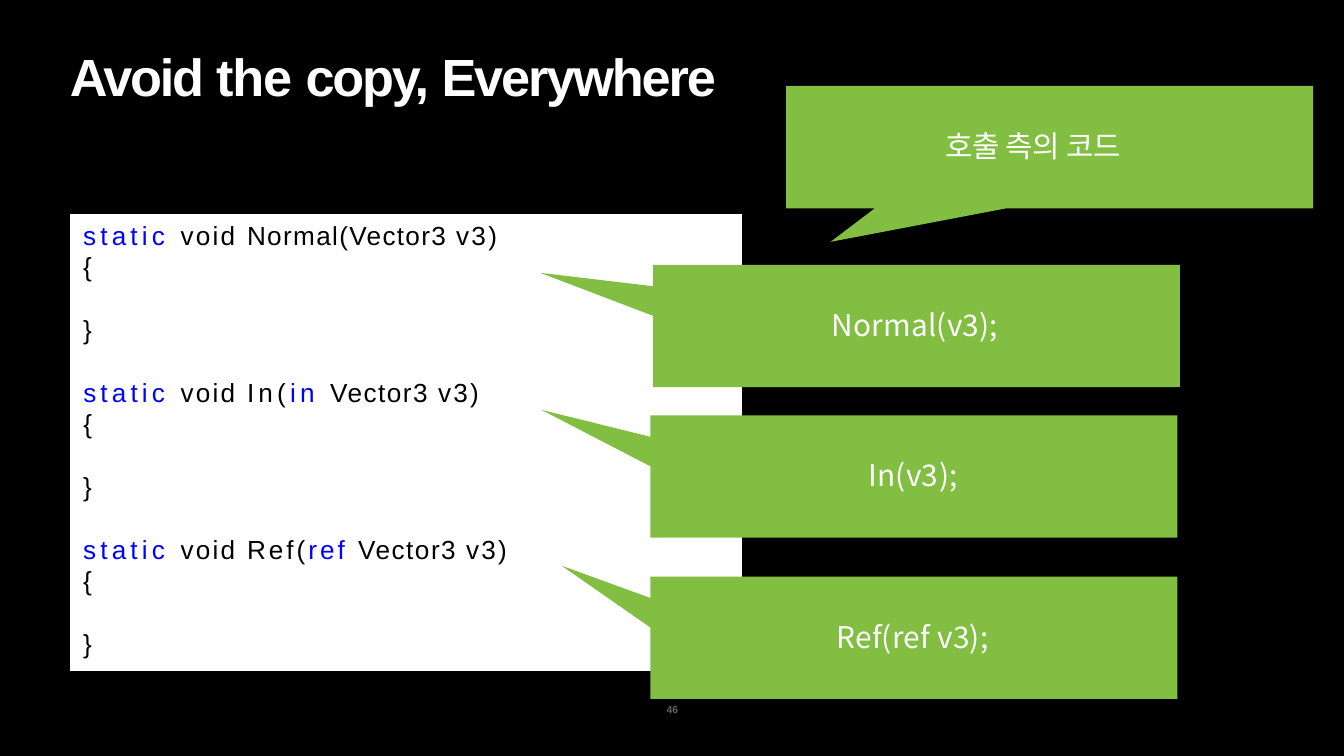
from lxml import etree
from pptx import Presentation
from pptx.dml.color import RGBColor
from pptx.oxml.ns import qn
from pptx.util import Inches, Pt

BLACK = RGBColor(0x00, 0x00, 0x00)
WHITE = RGBColor(0xFF, 0xFF, 0xFF)
BLUE = RGBColor(0x00, 0x00, 0xFF)
GREEN = RGBColor(0x81, 0xBE, 0x41)
GRAY = RGBColor(0x66, 0x66, 0x66)
LATIN = "Arial"
CJK = "Noto Sans CJK JP"

WIDTH = 10
HEIGHT = WIDTH * 9 / 16
PANEL = (0.52, 1.59, 5, 3.4)
CODE_LEFT, CODE_TOP, CODE_STEP, CLOSE_DROP = 0.61, 1.62, 1.17, 0.7
BODY_WIDTH, BODY_HEIGHT = 3.92, 0.91
SEAM, JOINT = 0.16, 0.38
TAIL_START, TAIL_END = 0.66, 1.64
LABEL_DROP = 0.3

TITLE = [("Avoid ", -1.2), ("the ", -0.6), ("copy, ", -1.2), ("Everywhere", -1.1)]

METHODS = [
    (3.26, [("static ", 2.2, BLUE), ("void ", 1.2), ("Normal(Vector3 ", 0.7), ("v3)", 1.2)]),
    (3.15, [("static ", 2.2, BLUE), ("void ", 1.2), ("In(", 2.2), ("in ", 2.2, BLUE),
            ("Vector3 ", 0.8), ("v3)", 1.2)]),
    (3.37, [("static ", 2.2, BLUE), ("void ", 1.2), ("Ref(", 1.6), ("ref ", 1.6, BLUE),
            ("Vector3 ", 0.8), ("v3)", 1.2)]),
]

CALLOUTS = [
    {"corner": (4.86, 1.97), "tip": (4.02, 2.03), "side": "left", "label_width": 1.28,
     "label": [("Normal(v3);", 0.1)]},
    {"corner": (4.84, 3.09), "tip": (4.03, 3.05), "side": "left", "label_width": 0.7,
     "label": [("In(v3", 0.2), (")", 0), (";", 0.3)]},
    {"corner": (4.84, 4.29), "tip": (4.18, 4.21), "side": "left", "label_width": 1.17,
     "label": [("Ref(ref ", 0.1), ("v3);", 0.2)]},
    {"corner": (5.85, 0.64), "tip": (6.18, 1.8), "side": "bottom", "label_width": 1.57,
     "label": [("호출 측의 코드", -0.2)]},
]


def rectangle(left, top, width, height):
    right, bottom = left + width, top + height
    return [(left, bottom), (right, bottom), (right, top), (left, top)]


def add_outline(page, contours, color):
    points = [[(Inches(x), Inches(y)) for x, y in contour] for contour in contours]
    builder = page.shapes.build_freeform(*points[0][0])
    builder.add_line_segments(points[0][1:], close=True)
    for contour in points[1:]:
        builder.move_to(*contour[0])
        builder.add_line_segments(contour[1:], close=True)
    shape = builder.convert_to_shape()
    shape.shadow.inherit = False
    shape.fill.solid()
    shape.fill.fore_color.rgb = color
    shape.line.fill.background()


def add_text(page, lines, left, top, width, height, size, color,
             font=LATIN, bold=False, indent=0.01):
    box = page.shapes.add_textbox(Inches(left), Inches(top), Inches(width), Inches(height))
    frame = box.text_frame
    frame.word_wrap = True
    frame.margin_left, frame.margin_top = Inches(indent), Inches(0.01)
    frame.margin_right = frame.margin_bottom = 0
    for index, spans in enumerate(lines):
        para = frame.add_paragraph() if index else frame.paragraphs[0]
        for text, spacing, *own_color in spans:
            span = para.add_run()
            span.text = text
            span.font.name = font
            span.font.size = Pt(size)
            span.font.bold = bold
            span.font.color.rgb = own_color[0] if own_color else color
            properties = span._r.get_or_add_rPr()
            properties.set("spc", str(round(spacing * 100)))
            etree.SubElement(properties, qn("a:ea")).set("typeface", font)


def add_callout(page, corner, tip, side, label_width, label):
    left, top = corner
    right, bottom = left + BODY_WIDTH, top + BODY_HEIGHT
    if side == "left":
        seam = top + SEAM
        contours = [
            [tip, (left, top + JOINT), (left, bottom), (right, bottom),
             (right, seam), (left, seam)],
            rectangle(left, top, BODY_WIDTH, SEAM),
        ]
    else:
        contours = [
            [(left + TAIL_END, bottom), (left + TAIL_START, bottom), tip],
            rectangle(left, top, BODY_WIDTH, BODY_HEIGHT),
        ]
    add_outline(page, contours, GREEN)
    add_text(page, [label], left + (BODY_WIDTH - label_width) / 2, top + LABEL_DROP,
             label_width, 0.29, 16, WHITE, font=CJK)


def main():
    deck = Presentation()
    deck.slide_width, deck.slide_height = Inches(WIDTH), Inches(HEIGHT)
    page = deck.slides.add_slide(deck.slide_layouts[6])
    page.background.fill.solid()
    page.background.fill.fore_color.rgb = BLACK

    add_outline(page, [rectangle(*PANEL)], WHITE)
    for row, (width, signature) in enumerate(METHODS):
        top = CODE_TOP + row * CODE_STEP
        add_text(page, [signature, [("{", 3)]], CODE_LEFT, top, width, 0.5, 14, BLACK)
        add_text(page, [[("}", 3)]], CODE_LEFT, top + CLOSE_DROP, 0.14, 0.26, 14, BLACK)

    add_text(page, [TITLE], 0.51, 0.32, 4.84, 0.49, 28, WHITE, bold=True)
    for callout in CALLOUTS:
        add_callout(page, **callout)
    add_text(page, [[("46", 0.1)]], 4.93, 5.22, 0.14, 0.12, 5.5, GRAY, bold=True, indent=0.03)
    deck.save("out.pptx")


if __name__ == "__main__":
    main()
